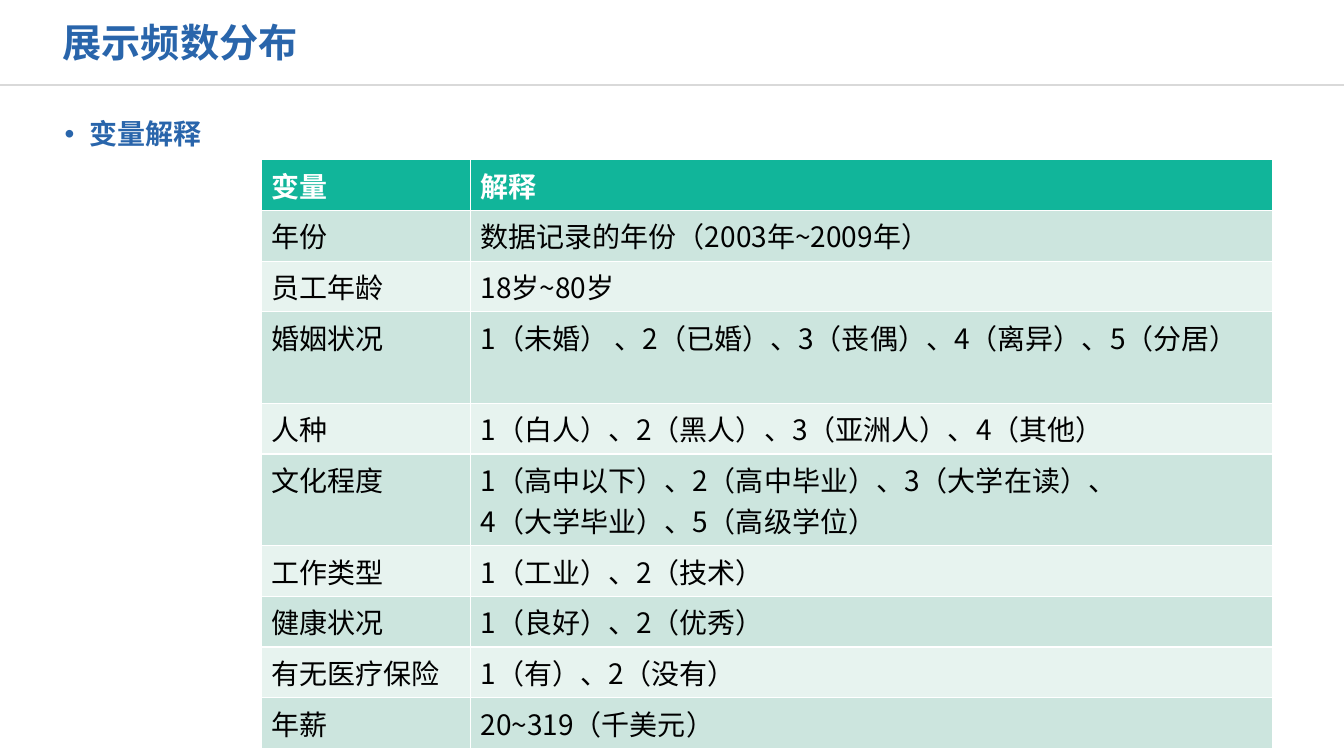
from lxml import etree
from pptx import Presentation
from pptx.dml.color import RGBColor
from pptx.enum.shapes import MSO_CONNECTOR
from pptx.enum.text import MSO_ANCHOR, MSO_AUTO_SIZE, PP_ALIGN
from pptx.oxml.ns import qn
from pptx.util import Pt

PX = 9525
PAGE_WIDTH, PAGE_HEIGHT = 1280, 720
FONT = "Noto Sans CJK SC"
STRAIGHT = MSO_CONNECTOR.STRAIGHT
MIDDLE, TOP = MSO_ANCHOR.MIDDLE, MSO_ANCHOR.TOP
LEFT = PP_ALIGN.LEFT
NO_FIT = MSO_AUTO_SIZE.NONE

BLUE = RGBColor(0x29, 0x65, 0xAB)
TEAL = RGBColor(0x11, 0xB5, 0x9A)
MINT = RGBColor(0xCC, 0xE5, 0xDE)
PALE_MINT = RGBColor(0xE7, 0xF3, 0xEF)
GREY = RGBColor(0xD9, 0xD9, 0xD9)
WHITE = RGBColor(0xFF, 0xFF, 0xFF)
BLACK = RGBColor(0, 0, 0)

VARIABLES = [
    ("变量", "解释"),
    ("年份", "数据记录的年份（2003年~2009年）"),
    ("员工年龄", "18岁~80岁"),
    ("婚姻状况", "1（未婚） 、2（已婚）、3（丧偶）、4（离异）、5（分居）"),
    ("人种", "1（白人）、2（黑人）、3（亚洲人）、4（其他）"),
    ("文化程度", "1（高中以下）、2（高中毕业）、3（大学在读）、\n4（大学毕业）、5（高级学位）"),
    ("工作类型", "1（工业）、2（技术）"),
    ("健康状况", "1（良好）、2（优秀）"),
    ("有无医疗保险", "1（有）、2（没有）"),
    ("年薪", "20~319（千美元）"),
]


def style_paragraph(para, size, color, bold):
    font = para.font
    font.size, font.bold, font.name = Pt(size), bold, FONT
    font.color.rgb = color
    latin = para._p.pPr.find(qn("a:defRPr")).find(qn("a:latin"))
    east_asian = etree.Element(qn("a:ea"), typeface=FONT)
    latin.addnext(east_asian)


def fill_placeholder(shape, box, text, size, anchor):
    """Move a placeholder to its box and return its one paragraph, unstyled."""
    shape.left, shape.top, shape.width, shape.height = (PX * side for side in box)
    frame = shape.text_frame
    frame.text = text
    frame.word_wrap, frame.auto_size, frame.vertical_anchor = True, NO_FIT, anchor
    para = frame.paragraphs[0]
    para.alignment, para.space_before = LEFT, Pt(0)
    return para


def add_heading(page, box):
    para = fill_placeholder(page.shapes.title, box, "展示频数分布", 28, MIDDLE)
    style_paragraph(para, 28, BLUE, True)


def add_rule(page, top):
    rule = page.shapes.add_connector(STRAIGHT, 0, PX * top, PX * PAGE_WIDTH, PX * top)
    rule.line.color.rgb, rule.line.width = GREY, Pt(1)
    etree.SubElement(rule._element.spPr, qn("a:effectLst"))


def add_topic(page, box):
    para = fill_placeholder(page.placeholders[1], box, "变量解释", 20, TOP)
    para.line_spacing = 0.9
    properties = para._p.get_or_add_pPr()
    properties.set("marL", str(24 * PX))
    properties.set("indent", str(-24 * PX))
    bullet_color = etree.SubElement(properties, qn("a:buClr"))
    etree.SubElement(bullet_color, qn("a:srgbClr"), val=str(BLUE))
    etree.SubElement(properties, qn("a:buFont"), typeface="Arial")
    etree.SubElement(properties, qn("a:buChar"), char="•")
    style_paragraph(para, 20, BLUE, True)


def add_variable_table(page, left, top, column_widths, line_height):
    """Each row is as many line heights tall as its text has lines."""
    lines = [text.count("\n") + 1 for _, text in VARIABLES]
    frame = page.shapes.add_table(
        len(VARIABLES), len(column_widths), PX * left, PX * top,
        PX * sum(column_widths), PX * line_height * sum(lines))
    table = frame.table
    for column, width in zip(table.columns, column_widths):
        column.width = PX * width
    for index, texts in enumerate(VARIABLES):
        table.rows[index].height = PX * line_height * lines[index]
        is_header = index == 0
        background = TEAL if is_header else MINT if index % 2 else PALE_MINT
        for cell, text in zip(table.rows[index].cells, texts):
            cell.fill.solid()
            cell.fill.fore_color.rgb = background
            cell.text_frame.text = text
            for para in cell.text_frame.paragraphs:
                style_paragraph(para, 20, WHITE if is_header else BLACK, is_header)


def main():
    deck = Presentation()
    deck.slide_width, deck.slide_height = PX * PAGE_WIDTH, PX * PAGE_HEIGHT
    page = deck.slides.add_slide(deck.slide_layouts[1])
    add_rule(page, 81)
    add_heading(page, (50, 12, 511, 56))
    add_topic(page, (52, 110, 1058, 514))
    add_variable_table(page, 249, 152, (199, 764), 41)
    deck.save("out.pptx")


if __name__ == "__main__":
    main()
